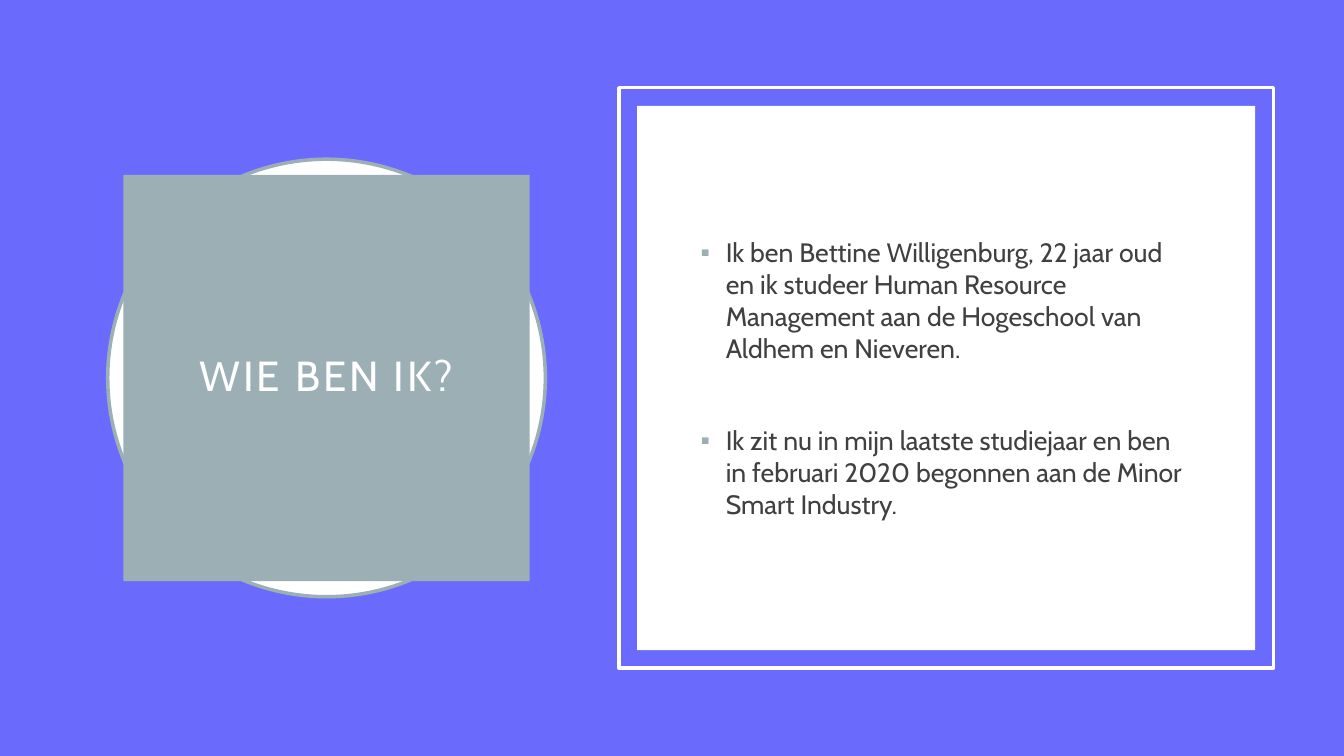
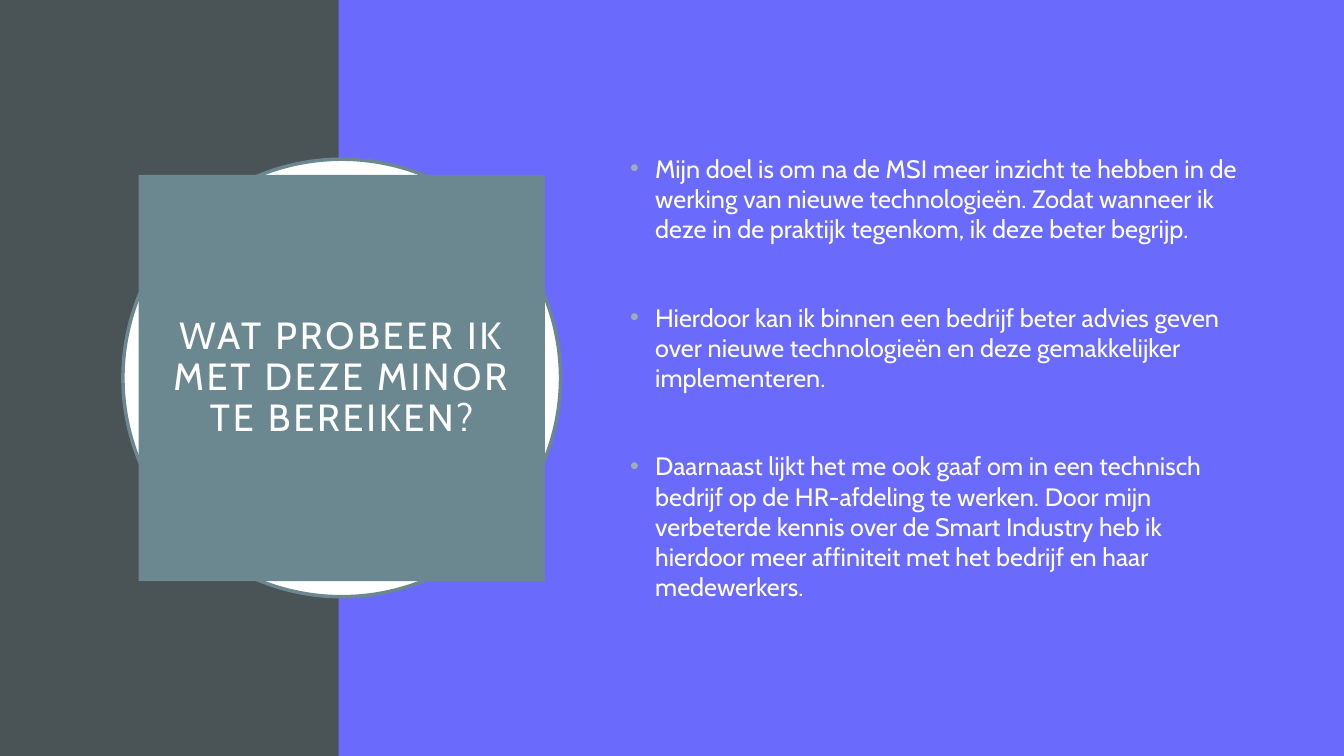
from pptx import Presentation
from pptx import util as u
from pptx.dml import color
from pptx.enum import shapes, text
from pptx.oxml import parse_xml
from pptx.oxml import ns

WHITE, VIOLET, SLATE, MIST, TEAL, INK = "FFFFFF", "6A6BFD", "4A5356", "9BAFB5", "6B8891", "404040"
FONT = "Cabin"
RECT, OVAL = shapes.MSO_SHAPE.RECTANGLE, shapes.MSO_SHAPE.OVAL
DISC, PLATE = 57.87, 53.73
FRAME = (46.06, 11.6, 48.69, 76.8)
GAP_X, GAP_Y = 1.35, 2.4
PANEL = (FRAME[0] + GAP_X, FRAME[1] + GAP_Y, FRAME[2] - 2 * GAP_X, FRAME[3] - 2 * GAP_Y)

prs = Presentation()
prs.slide_width, prs.slide_height = u.Inches(13.33), u.Inches(7.5)
W, H = prs.slide_width, prs.slide_height


def rgb(value):
    return color.RGBColor.from_string(value)


def add_box(s, kind, area, fill=None, line=None):
    x, y, w, h = area
    sp = s.shapes.add_shape(kind, int(x * W / 100), int(y * H / 100), int(w * W / 100), int(h * H / 100))
    sp.shadow.inherit = False
    sp.fill.background()
    sp.line.fill.background()
    if fill:
        sp.fill.solid()
        sp.fill.fore_color.rgb = rgb(fill)
    if line:
        sp.line.color.rgb = rgb(line)
        sp.line.width = u.Pt(2.5)
    return sp


slides = [
    {
        "title": "WIE BEN IK?", "title_size": 30, "accent": MIST, "center": 24.3,
        "backdrop": [(FRAME, None, WHITE), (PANEL, WHITE, None)],
        "body": (51.39, 21.07, 38.18, 57.87), "bullet": "▪", "size": 19, "ink": INK, "gap": 43,
        "points": [
            "Ik ben Bettine Willigenburg, 22 jaar oud en ik studeer Human Resource Management aan de Hogeschool van Aldhem en Nieveren.",
            "Ik zit nu in mijn laatste studiejaar en ben in februari 2020 begonnen aan de Minor Smart Industry.",
        ],
    },
    {
        "title": "WAT PROBEER IK MET DEZE MINOR TE BEREIKEN?", "title_size": 27, "accent": TEAL, "center": 25.43,
        "backdrop": [((0, 0, 25.2, 100), SLATE, None)],
        "body": (46.14, 16.93, 46.96, 66), "bullet": "•", "size": 18, "ink": WHITE, "gap": 41.5,
        "points": [
            "Mijn doel is om na de MSI meer inzicht te hebben in de werking van nieuwe technologieën. Zodat wanneer ik deze in de praktijk tegenkom, ik deze beter begrijp.",
            "Hierdoor kan ik binnen een bedrijf beter advies geven over nieuwe technologieën en deze gemakkelijker implementeren.",
            "Daarnaast lijkt het me ook gaaf om in een technisch bedrijf op de HR-afdeling te werken. Door mijn verbeterde kennis over de Smart Industry heb ik hierdoor meer affiniteit met het bedrijf en haar medewerkers.",
        ],
    },
]

for data in slides:
    s = prs.slides.add_slide(prs.slide_layouts[6])
    s.background.fill.solid()
    s.background.fill.fore_color.rgb = rgb(VIOLET)

    for area, fill, line in data["backdrop"]:
        add_box(s, RECT, area, fill, line)

    for kind, side, fill, line in [(OVAL, DISC, WHITE, data["accent"]), (RECT, PLATE, data["accent"], None)]:
        width = side * H / W
        sp = add_box(s, kind, (data["center"] - width / 2, 50 - side / 2, width, side), fill, line)

    tf = sp.text_frame
    inset = u.Inches(0.2)
    title_format = {
        "word_wrap": True, "vertical_anchor": text.MSO_ANCHOR.MIDDLE,
        "margin_left": inset, "margin_right": inset, "margin_top": inset, "margin_bottom": inset,
    }
    for name, value in title_format.items():
        setattr(tf, name, value)
    p = tf.paragraphs[0]
    p.alignment, p.line_spacing = text.PP_ALIGN.CENTER, 0.9
    r = p.add_run()
    r.text = data["title"]
    for name, value in {"name": FONT, "size": u.Pt(data["title_size"])}.items():
        setattr(r.font, name, value)
    r.font.color.rgb = rgb(WHITE)
    r.font._element.set("spc", "200")

    x, y, w, h = data["body"]
    tf = s.shapes.add_textbox(int(x * W / 100), int(y * H / 100), int(w * W / 100), int(h * H / 100)).text_frame
    for name, value in {"word_wrap": True, "vertical_anchor": text.MSO_ANCHOR.MIDDLE}.items():
        setattr(tf, name, value)
    for i, point in enumerate(data["points"]):
        p = tf.add_paragraph() if i else tf.paragraphs[0]
        p.space_before = u.Pt(data["gap"] if i else 0)
        pPr = p._p.get_or_add_pPr()
        pPr.set("marL", str(u.Inches(0.25)))
        pPr.set("indent", str(-u.Inches(0.25)))
        for tag in [f'buClr {ns.nsdecls("a")}><a:srgbClr val="{MIST}"/></a:buClr>',
                    f'buFont {ns.nsdecls("a")} typeface="Arial"/>',
                    f'buChar {ns.nsdecls("a")} char="{data["bullet"]}"/>']:
            pPr.append(parse_xml("<a:" + tag))
        r = p.add_run()
        r.text = point
        for name, value in {"name": FONT, "size": u.Pt(data["size"])}.items():
            setattr(r.font, name, value)
        r.font.color.rgb = rgb(data["ink"])

prs.save("out.pptx")
